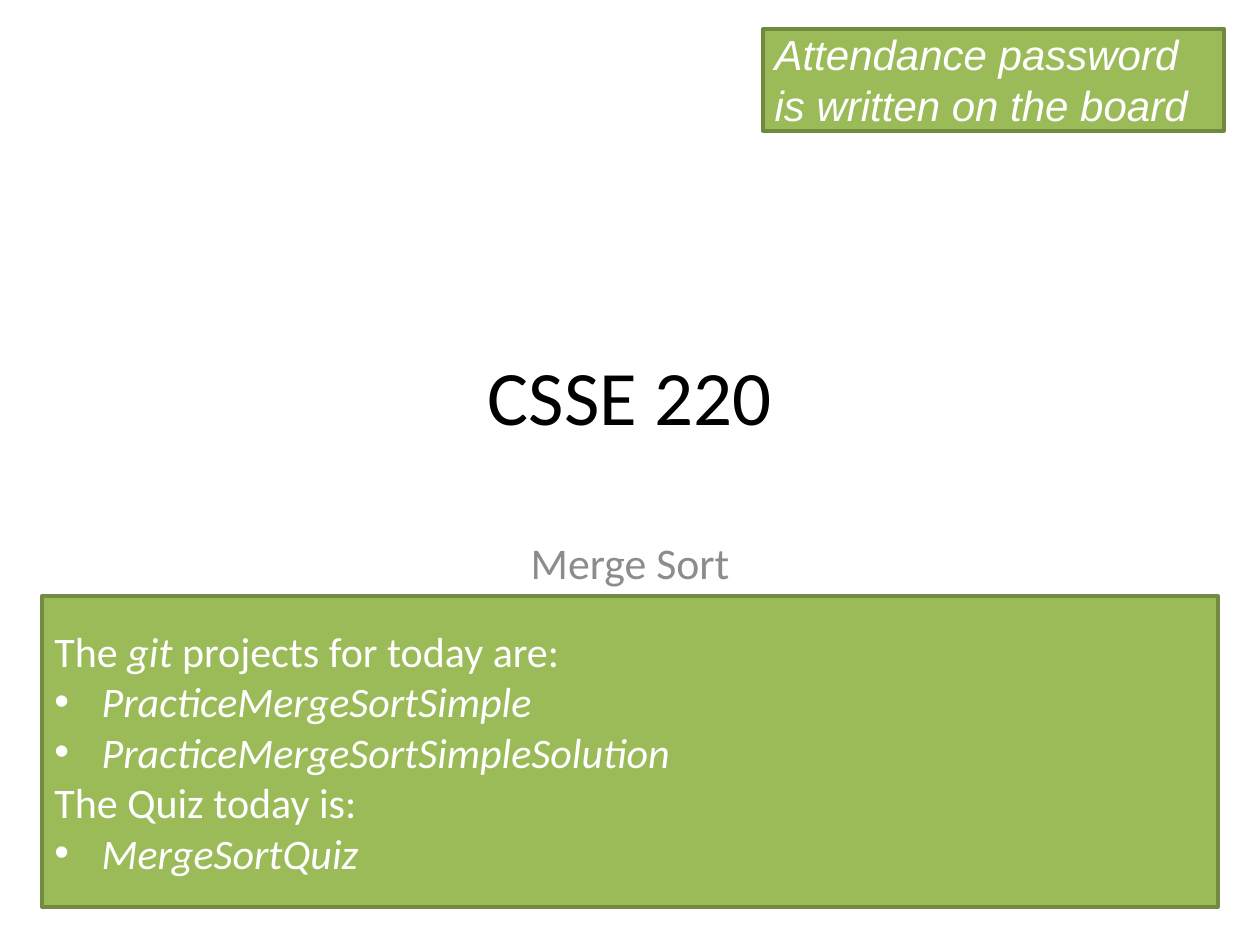
from dataclasses import dataclass

from lxml.etree import SubElement
from pptx import Presentation
from pptx.dml.color import RGBColor as Rgb
from pptx.enum.shapes import MSO_SHAPE as Kind
from pptx.enum.text import MSO_ANCHOR as Anchor, MSO_AUTO_SIZE as Auto, PP_ALIGN as Align
from pptx.oxml.ns import qn
from pptx.util import Pt


@dataclass(frozen=True)
class Theme:
    sans: str = "Calibri"
    plain: str = "Arial"
    black: str = "000000"
    gray: str = "8C8C8C"
    white: str = "FFFFFF"
    green: str = "9BBB59"
    edge: str = "738A42"
    rim: str = "718841"
    big: float = 44
    mid: float = 25
    body: float = 24
    line: float = 2
    indent: float = 27


@dataclass(frozen=True)
class Box:
    left: float
    top: float
    width: float
    height: float

    def spot(self) -> tuple:
        return Pt(self.left), Pt(self.top), Pt(self.width), Pt(self.height)


@dataclass(frozen=True)
class Run:
    text: str
    slant: bool = False


@dataclass(frozen=True)
class Line:
    runs: tuple[Run, ...]
    dot: bool = False


THEME = Theme()


def item(text: str) -> Line:
    return Line((Run(text, True),), dot=True)


def add_dot(para) -> None:
    props = para._p.get_or_add_pPr()
    props.set("marL", str(Pt(THEME.indent)))
    props.set("indent", str(-Pt(THEME.indent)))
    SubElement(props, qn("a:buFont"), typeface=THEME.plain)
    SubElement(props, qn("a:buChar"), char="•")


def write(frame, lines: list[Line], *, size: float = THEME.body,
          face: str = THEME.sans, color: str = THEME.white,
          align=Align.LEFT, anchor=Anchor.MIDDLE,
          space: float | None = None, before: float = 0) -> None:
    frame.word_wrap = True
    frame.vertical_anchor = anchor
    for n, line in enumerate(lines):
        para = frame.add_paragraph() if n else frame.paragraphs[0]
        para.alignment = align
        para.space_before = Pt(before)
        if space:
            para.line_spacing = space
        if line.dot:
            add_dot(para)
        for part in line.runs:
            run = para.add_run()
            run.text = part.text
            font = run.font
            font.name, font.size, font.italic = face, Pt(size), part.slant
            font.color.rgb = Rgb.from_string(color)


def text_box(slide, box: Box):
    return slide.shapes.add_textbox(*box.spot()).text_frame


def panel(slide, box: Box, edge: str):
    shape = slide.shapes.add_shape(Kind.RECTANGLE, *box.spot())
    shape.shadow.inherit = False
    shape.fill.solid()
    shape.fill.fore_color.rgb = Rgb.from_string(THEME.green)
    shape.line.color.rgb = Rgb.from_string(edge)
    shape.line.width = Pt(THEME.line)
    return shape.text_frame


def main() -> None:
    deck = Presentation()
    deck.slide_width, deck.slide_height = Pt(720), Pt(540)
    slide = deck.slides.add_slide(deck.slide_layouts[6])

    write(text_box(slide, Box(54, 167.75, 612, 115.75)), [Line((Run("CSSE 220"),))],
          size=THEME.big, color=THEME.black, align=Align.CENTER)
    write(text_box(slide, Box(108, 306, 504, 138)), [Line((Run("Merge Sort"),))],
          size=THEME.mid, color=THEME.gray, align=Align.CENTER,
          anchor=Anchor.TOP, space=0.9, before=5)

    write(panel(slide, Box(24, 340.5, 672, 177.75), THEME.edge), [
        Line((Run("The "), Run("git", True), Run(" projects for today are:"))),
        item("PracticeMergeSortSimple"),
        item("PracticeMergeSortSimpleSolution"),
        Line((Run("The Quiz today is:"),)),
        item("MergeSortQuiz"),
    ])

    note = panel(slide, Box(436, 16.5, 263.5, 58.25), THEME.rim)
    note.margin_left = Pt(6.67)
    note.margin_top = note.margin_right = note.margin_bottom = 0
    note.auto_size = Auto.SHAPE_TO_FIT_TEXT
    write(note, [Line((Run("Attendance password", True),)),
                 Line((Run("is written on the board", True),))],
          face=THEME.plain, anchor=Anchor.TOP)

    deck.save("out.pptx")


if __name__ == "__main__":
    main()
